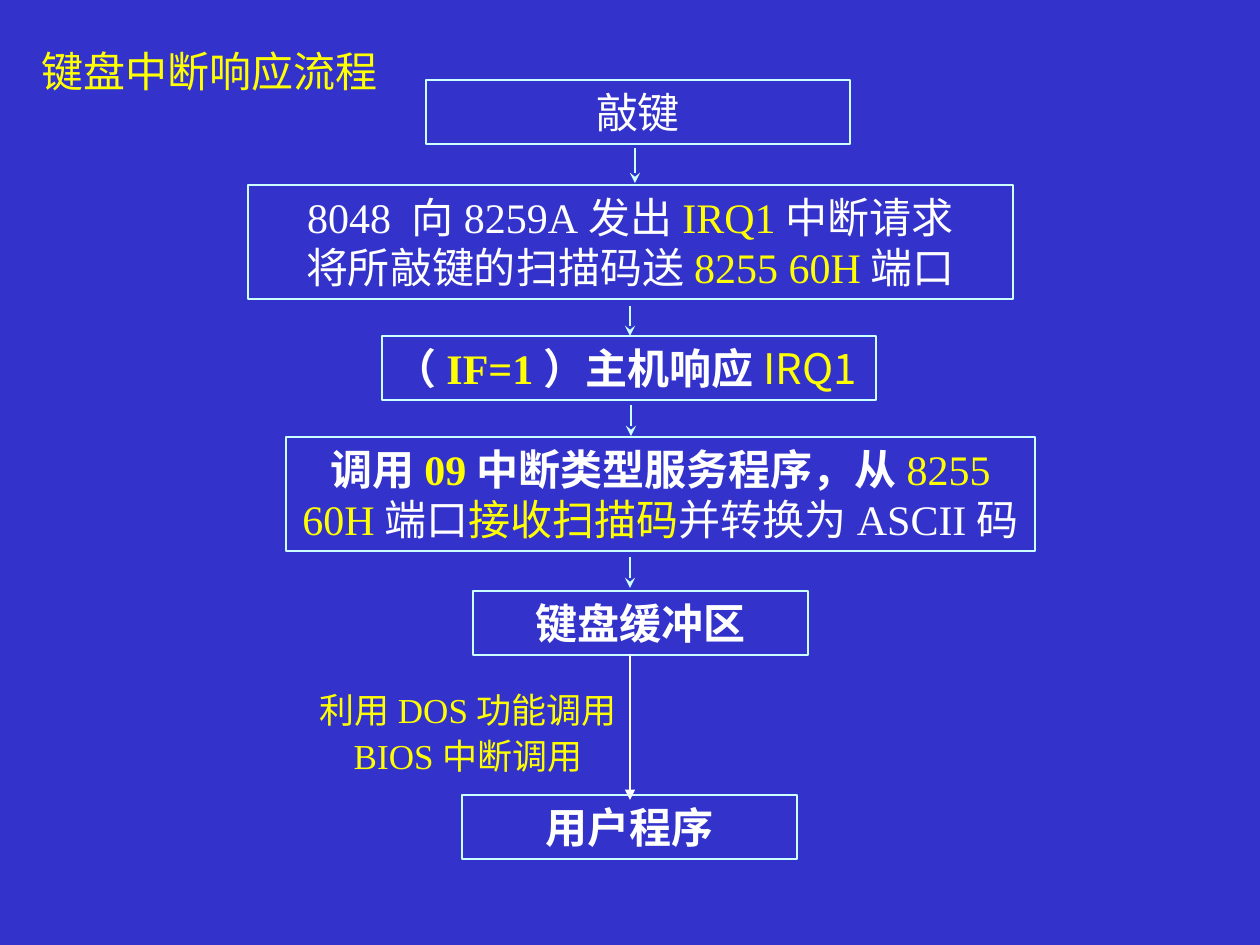
"""Builds a one-slide flowchart of the keyboard interrupt response."""
from dataclasses import dataclass

from lxml.etree import SubElement
from pptx import Presentation
from pptx.dml.color import RGBColor as RGB
from pptx.enum.shapes import MSO_CONNECTOR as Conn, MSO_SHAPE as Shape
from pptx.enum.text import MSO_ANCHOR as Anchor, MSO_AUTO_SIZE as Auto, PP_ALIGN as Align
from pptx.oxml.ns import qn
from pptx.util import Pt

PX = 914400 / 126


def px(*values):
    return [round(v * PX) for v in values]


@dataclass(frozen=True)
class Theme:
    back: RGB = RGB(0x33, 0x33, 0xCC)
    white: RGB = RGB(0xFF, 0xFF, 0xFF)
    yellow: RGB = RGB(0xFF, 0xFF, 0x00)
    pale: RGB = RGB(0xCC, 0xFF, 0xFF)
    serif: str = "Times New Roman"
    sans: str = "Noto Sans CJK SC"
    body: int = 24
    small: int = 20


class Flow:
    def __init__(self, slide, theme):
        self.s, self.t = slide, theme
        fill = slide.background.fill
        fill.solid()
        fill.fore_color.rgb = theme.back

    def set_text(self, tf, paragraphs, size, face, align):
        tf.word_wrap = True
        tf.auto_size = Auto.SHAPE_TO_FIT_TEXT
        tf.vertical_anchor = Anchor.TOP
        for i, runs in enumerate(paragraphs):
            p = tf.add_paragraph() if i else tf.paragraphs[0]
            p.alignment = align
            p.font.size, p.font.name = Pt(size), face
            for text, color, bold, *other in runs:
                r = p.add_run()
                r.text = text
                r.font.color.rgb, r.font.bold = color, bold
                if other:
                    r.font.name = other[0]

    def box(self, at, *paragraphs, face=None, align=Align.CENTER):
        sp = self.s.shapes.add_shape(Shape.RECTANGLE, *px(*at))
        sp.shadow.inherit = False
        sp.fill.background()
        sp.line.color.rgb, sp.line.width = self.t.pale, Pt(0.75)
        self.set_text(sp.text_frame, paragraphs, self.t.body, face or self.t.serif, align)

    def label(self, at, *paragraphs, size, face, align):
        tf = self.s.shapes.add_textbox(*px(*at)).text_frame
        self.set_text(tf, paragraphs, size, face, align)
        return tf

    def arrow(self, x, top, bottom, color, width=1.5, head="stealth"):
        c = self.s.shapes.add_connector(Conn.STRAIGHT, *px(x, top, x, bottom))
        c.line.color.rgb, c.line.width = color, Pt(width)
        sp_pr = c._element.spPr
        SubElement(sp_pr.get_or_add_ln(), qn("a:tailEnd"), type=head)
        SubElement(sp_pr, qn("a:effectLst"))


def main():
    prs = Presentation()
    prs.slide_width, prs.slide_height = px(1260, 945)
    t = Theme()
    flow = Flow(prs.slides.add_slide(prs.slide_layouts[6]), t)
    w, y = t.white, t.yellow

    flow.label((29, 39, 363, 63), [("键盘中断响应流程", y, False)],
               size=t.body, face=t.sans, align=Align.LEFT)
    flow.box((426, 80, 424, 64), [("敲键", w, False)], face=t.sans)
    flow.box((248, 185, 765, 114),
             [("8048 向8259A发出", w, False), ("IRQ1", y, False), ("中断请求", w, False)],
             [("将所敲键的扫描码送", w, False), ("8255 60H", y, False), ("端口", w, False)])
    flow.box((382, 336, 494, 64),
             [("（", w, True), ("IF=1", y, True), ("）主机响应", w, True),
              ("IRQ1", y, False, t.sans)], align=Align.LEFT)
    flow.box((286, 437, 749, 114),
             [("调用", w, True), ("09", y, True), ("中断类型服务程序，从", w, True),
              ("8255 60H", y, False), ("端口", w, False),
              ("接收扫描码", y, False), ("并转换为ASCII码", w, False)])
    flow.box((473, 591, 335, 64), [("键盘缓冲区", w, True)])
    flow.box((462, 795, 335, 64), [("用户程序", w, True)])

    for x, top, bottom in ((635, 148, 183), (630, 306, 336), (631, 405, 436), (630, 557, 588)):
        flow.arrow(x, top, bottom, t.pale)
    flow.arrow(630, 654, 800, w, width=1, head="triangle")

    tf = flow.label((306, 682, 324, 101), [("利用DOS功能调用", y, False)],
                    [("BIOS中断调用", y, False)],
                    size=t.small, face=t.serif, align=Align.CENTER)
    tf.paragraphs[1].line_spacing = 1.1
    prs.save("out.pptx")


if __name__ == "__main__":
    main()
